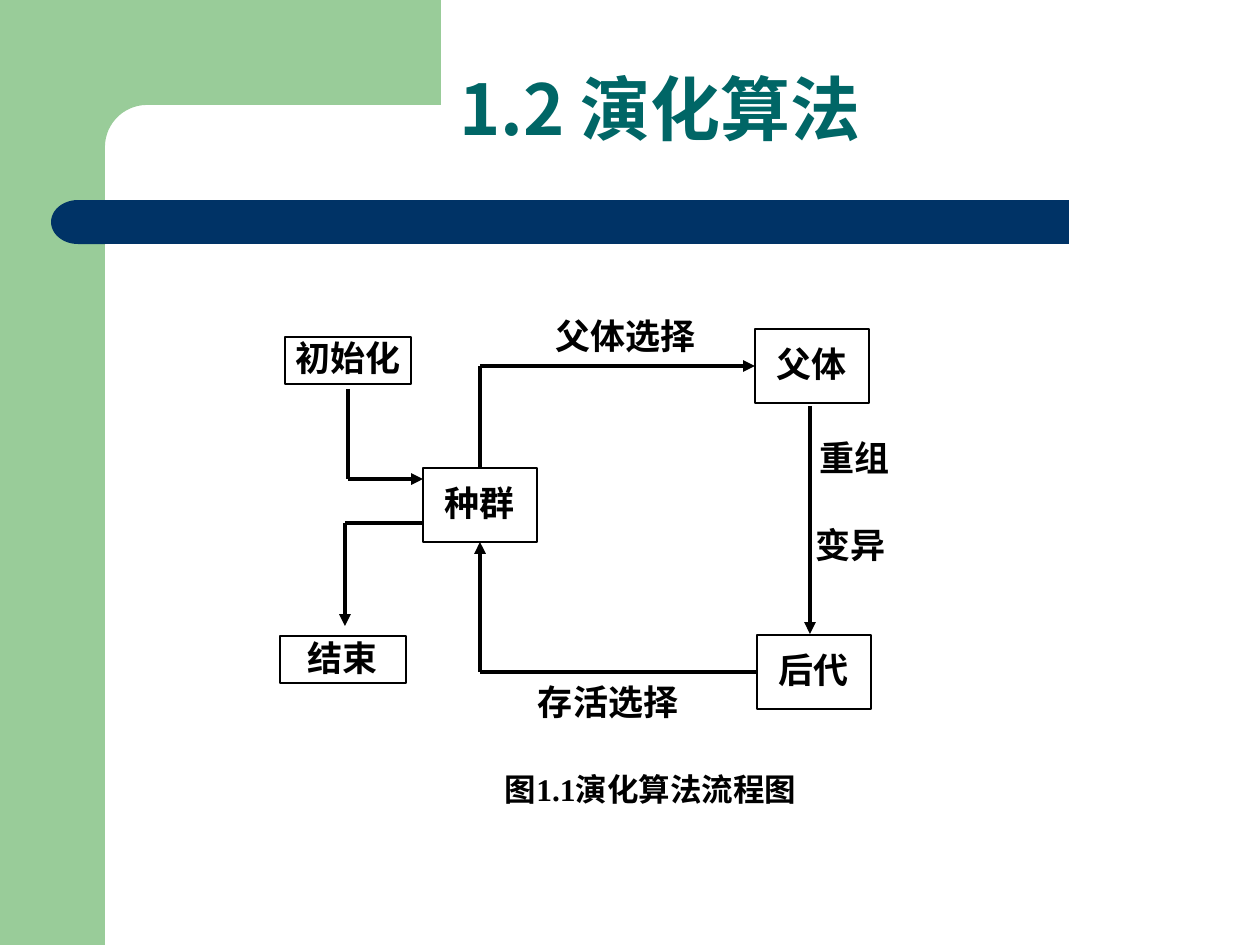
import dataclasses
import math
import typing

import pptx
import pptx.dml.color
import pptx.enum.shapes
import pptx.enum.text
import pptx.oxml
import pptx.oxml.ns
import pptx.util

PX_PER_INCH = 126
GREEN, NAVY, TEAL, BLACK, WHITE = "99CC99", "003366", "006666", "000000", "FFFFFF"
SANS, SERIF = "Noto Sans CJK SC", "Times New Roman"
SHAPE = pptx.enum.shapes.MSO_SHAPE
ALIGN = pptx.enum.text.PP_ALIGN
ANCHOR = pptx.enum.text.MSO_ANCHOR
TOP, LEFT, BOTTOM = 0, 1, 2


@dataclasses.dataclass
class Frame:
    x: int
    y: int
    width: int
    height: int


@dataclasses.dataclass
class Node:
    text: str
    frame: Frame
    line_width: float = 1.5
    fill: typing.Optional[str] = WHITE
    inset_top: int = 14


@dataclasses.dataclass
class Label:
    text: str
    frame: Frame
    align: typing.Any = ALIGN.JUSTIFY
    size: int = 20


@dataclasses.dataclass
class Link:
    start: tuple[int, int]
    end: tuple[int, int]
    arrow: bool = False
    begin_at: typing.Optional[tuple[str, int]] = None
    end_at: typing.Optional[tuple[str, int]] = None


NODES = [
    Node("初始化", Frame(285, 337, 126, 47), 0.75, None, 0),
    Node("结束", Frame(280, 636, 126, 47), 0.75, None, 0),
    Node("种群", Frame(423, 468, 114, 74)),
    Node("父体", Frame(755, 329, 114, 74)),
    Node("后代", Frame(757, 635, 114, 74)),
]
LABELS = [
    Label("父体选择", Frame(538, 314, 175, 43), ALIGN.CENTER),
    Label("重组", Frame(819, 436, 168, 43)),
    Label("变异", Frame(816, 523, 125, 43)),
    Label("存活选择", Frame(538, 680, 184, 43)),
    Label("图1.1演化算法流程图", Frame(491, 770, 319, 50), ALIGN.CENTER, 18),
]
LINKS = [
    Link((348, 389), (348, 479)),
    Link((348, 479), (423, 479), arrow=True),
    Link((480, 366), (480, 468), end_at=("种群", TOP)),
    Link((480, 366), (755, 366), arrow=True, end_at=("父体", LEFT)),
    Link((810, 406), (810, 634), arrow=True),
    Link((757, 672), (480, 672), begin_at=("后代", LEFT)),
    Link((480, 672), (480, 542), arrow=True, end_at=("种群", BOTTOM)),
    Link((423, 523), (345, 523)),
    Link((345, 523), (345, 626), arrow=True),
]


def px(length: float) -> int:
    return round(length * 914400 / PX_PER_INCH)


def color(value: str) -> pptx.dml.color.RGBColor:
    return pptx.dml.color.RGBColor.from_string(value)


def place(frame: Frame) -> list[int]:
    return [px(length) for length in dataclasses.astuple(frame)]


def paint(shape, fill: typing.Optional[str], line_width: float = 0) -> None:
    shape.shadow.inherit = False
    if fill:
        shape.fill.solid()
        shape.fill.fore_color.rgb = color(fill)
    else:
        shape.fill.background()
    if line_width:
        shape.line.color.rgb = color(BLACK)
        shape.line.width = pptx.util.Pt(line_width)
    else:
        shape.line.fill.background()


def write(shape, text: str, *, size: int = 20, font: str = SERIF, ink: str = BLACK,
          align=ALIGN.CENTER, anchor=ANCHOR.TOP, inset_x: int = 0,
          inset_top: int = 0, inset_bottom: int = 0, spacing: float = 1.0) -> None:
    frame = shape.text_frame
    frame.word_wrap = True
    frame.vertical_anchor = anchor
    frame.margin_left = frame.margin_right = px(inset_x)
    frame.margin_top, frame.margin_bottom = px(inset_top), px(inset_bottom)
    para = frame.paragraphs[0]
    para.alignment = align
    para.line_spacing = spacing
    span = para.add_run()
    span.text = text
    span.font.size = pptx.util.Pt(size)
    span.font.bold = True
    span.font.color.rgb = color(ink)
    span.font.name = font
    east_asian = pptx.oxml.parse_xml(
        f'<a:ea {pptx.oxml.ns.nsdecls("a")} typeface="{SANS}"/>')
    span.font._element.find(pptx.oxml.ns.qn("a:latin")).addnext(east_asian)


def draw_shape(page, kind, frame: Frame, fill: typing.Optional[str], line_width: float = 0):
    shape = page.shapes.add_shape(kind, *place(frame))
    paint(shape, fill, line_width)
    return shape


def draw_backdrop(page) -> None:
    draw_shape(page, SHAPE.RECTANGLE, Frame(0, 0, 105, 945), GREEN)
    radius = 42
    center = 105 + radius
    angles = [math.radians(degrees) for degrees in range(90, 181, 6)]
    corner = [(center + radius * math.cos(angle), center - radius * math.sin(angle))
              for angle in angles]
    outline = [(441, 105), *corner, (105, 161), (63, 161), (63, 0)]
    builder = page.shapes.build_freeform(px(441), 0)
    builder.add_line_segments([(px(x), px(y)) for x, y in outline], close=True)
    paint(builder.convert_to_shape(), GREEN)
    draw_shape(page, SHAPE.RECTANGLE, Frame(104, 200, 965, 44), NAVY)
    cap = draw_shape(page, SHAPE.FLOWCHART_DELAY, Frame(51, 200, 54, 44), NAVY)
    cap.rotation = 180


def draw_node(page, node: Node):
    box = draw_shape(page, SHAPE.RECTANGLE, node.frame, node.fill, node.line_width)
    write(box, node.text, inset_top=node.inset_top)
    return box


def draw_label(page, label: Label) -> None:
    box = page.shapes.add_textbox(*place(label.frame))
    write(box, label.text, size=label.size, align=label.align)


def draw_link(page, link: Link, boxes: dict) -> None:
    connector = page.shapes.add_connector(
        pptx.enum.shapes.MSO_CONNECTOR.STRAIGHT,
        *[px(length) for length in link.start + link.end])
    if link.begin_at:
        name, side = link.begin_at
        connector.begin_connect(boxes[name], side)
    if link.end_at:
        name, side = link.end_at
        connector.end_connect(boxes[name], side)
    connector.line.color.rgb = color(BLACK)
    connector.line.width = pptx.util.Pt(2.25)
    namespace = pptx.oxml.ns.nsdecls("a")
    if link.arrow:
        connector.line._get_or_add_ln().append(
            pptx.oxml.parse_xml(f'<a:tailEnd {namespace} type="triangle"/>'))
    connector._element.spPr.append(pptx.oxml.parse_xml(f"<a:effectLst {namespace}/>"))


def main() -> None:
    deck = pptx.Presentation()
    deck.slide_width, deck.slide_height = px(1260), px(945)
    page = deck.slides.add_slide(deck.slide_layouts[6])
    draw_backdrop(page)
    title = page.shapes.add_textbox(*place(Frame(122, 44, 1076, 113)))
    write(title, "1.2 演化算法", size=40, font=SANS, ink=TEAL, anchor=ANCHOR.BOTTOM,
          inset_x=13, inset_top=6, inset_bottom=6, spacing=0.9)
    boxes = {node.text: draw_node(page, node) for node in NODES}
    for label in LABELS:
        draw_label(page, label)
    for link in LINKS:
        draw_link(page, link, boxes)
    deck.save("out.pptx")


if __name__ == "__main__":
    main()
